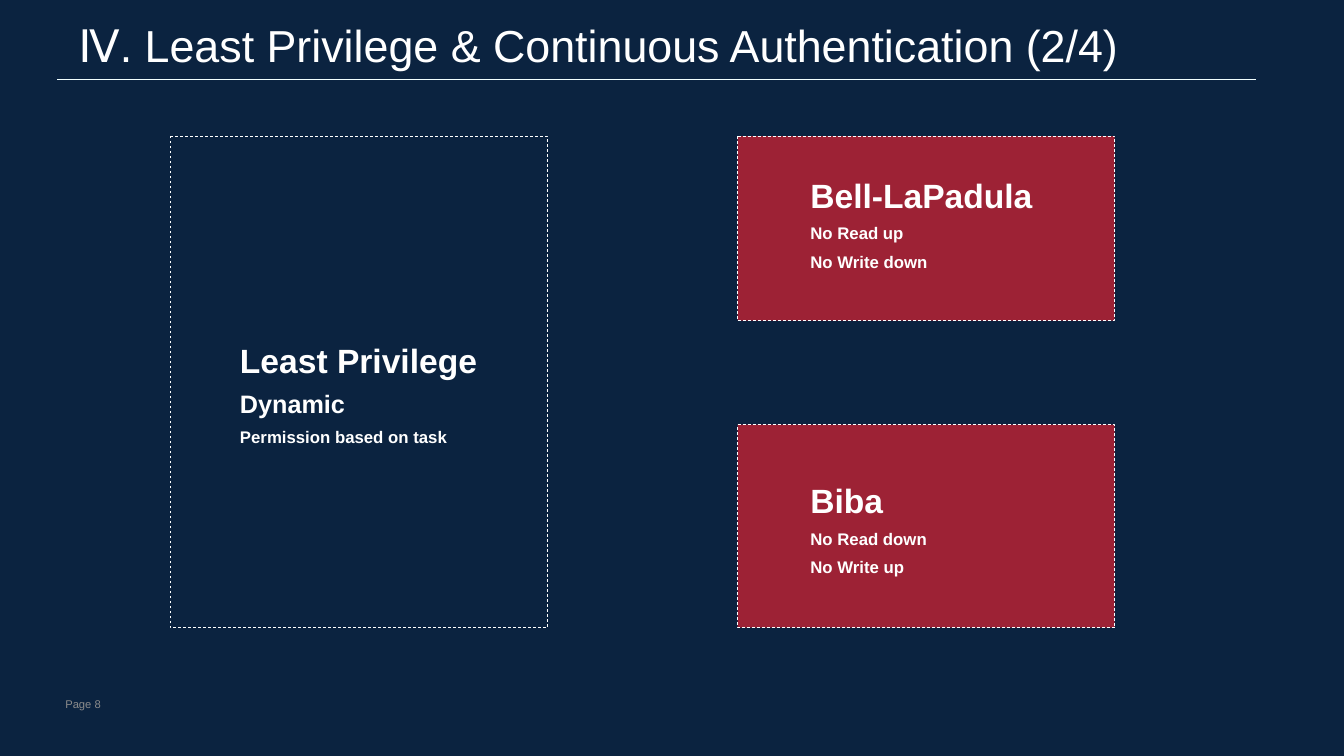
from dataclasses import dataclass

from lxml.etree import SubElement
from pptx import Presentation
from pptx.dml.color import RGBColor
from pptx.enum.dml import MSO_LINE
from pptx.enum.shapes import MSO_CONNECTOR, MSO_SHAPE
from pptx.enum.text import MSO_ANCHOR, PP_ALIGN
from pptx.oxml.ns import qn
from pptx.util import Pt


@dataclass(frozen=True)
class Theme:
    font: str = "Arial"
    background: RGBColor = RGBColor(0x0B, 0x23, 0x40)
    rule: RGBColor = RGBColor(0xF2, 0xFF, 0xFF)
    text: RGBColor = RGBColor(0xFF, 0xFF, 0xFF)
    muted: RGBColor = RGBColor(0x8C, 0x8C, 0x8C)
    accent: RGBColor = RGBColor(0x9D, 0x22, 0x35)
    title: int = 32
    heading: int = 24
    subheading: int = 18
    body: int = 12
    footer: int = 8


@dataclass(frozen=True)
class Box:
    """A rectangle in points."""
    left: float
    top: float
    width: float
    height: float

    def lengths(self):
        return [Pt(v) for v in (self.left, self.top, self.width, self.height)]


THEME = Theme()
CARD_WIDTH = 269.3
CARDS_TOP = 97.2
LEFT_COLUMN, RIGHT_COLUMN = 121.7, 527
TEXT_WIDTH, TEXT_HEIGHT = 176.4, 82.8


def apply_format(target, values):
    for attribute, value in values.items():
        setattr(target, attribute, value)


def add_text(slide, box, lines, color, frame_format, paragraph_format, bold=False):
    """Write (text, size) lines, one paragraph each, in the box."""
    frame = slide.shapes.add_textbox(*box.lengths()).text_frame
    apply_format(frame, {"word_wrap": True, **frame_format})
    for index, (text, size) in enumerate(lines):
        paragraph = frame.add_paragraph() if index else frame.paragraphs[0]
        apply_format(paragraph, paragraph_format)
        run = paragraph.add_run()
        run.text = text
        apply_format(run.font, {"name": THEME.font, "size": Pt(size), "bold": bold})
        run.font.color.rgb = color


def add_header(slide, box, title):
    """Place the title in the box, with a rule along the box's bottom edge."""
    bottom = Pt(box.top + box.height)
    rule = slide.shapes.add_connector(
        MSO_CONNECTOR.STRAIGHT, Pt(box.left), bottom, Pt(box.left + box.width), bottom)
    rule.line.color.rgb = THEME.rule
    rule.line.width = Pt(1)
    SubElement(rule._element.spPr, qn("a:effectLst"))
    title_box = Box(box.left + 8, box.top, 774.7, 36.7)
    add_text(slide, title_box, [(title, THEME.title)], THEME.text,
             {"vertical_anchor": MSO_ANCHOR.MIDDLE}, {})


def add_footer(slide, box, label):
    add_text(slide, box, [(label, THEME.footer)], THEME.muted,
             {"vertical_anchor": MSO_ANCHOR.MIDDLE}, {"alignment": PP_ALIGN.RIGHT})


def add_card(slide, box, lines, text_left, text_top, fill=None):
    """Draw a dashed card whose text starts at an offset from its corner."""
    card = slide.shapes.add_shape(MSO_SHAPE.ROUNDED_RECTANGLE, *box.lengths())
    card.adjustments[0] = 0
    card.shadow.inherit = False
    if fill is None:
        card.fill.background()
    else:
        card.fill.solid()
        card.fill.fore_color.rgb = fill
    card.line.color.rgb = THEME.text
    apply_format(card.line, {"width": Pt(0.5), "dash_style": MSO_LINE.DASH})
    text_box = Box(box.left + text_left, box.top + text_top, TEXT_WIDTH, TEXT_HEIGHT)
    no_margins = {f"margin_{side}": 0 for side in ("left", "top", "right", "bottom")}
    add_text(slide, text_box, lines, THEME.text, no_margins,
             {"space_after": Pt(6)}, bold=True)


def add_models(slide):
    """Place the principle on the left and the two access models on the right."""
    add_card(slide, Box(LEFT_COLUMN, CARDS_TOP, CARD_WIDTH, 351.2),
             [("Least Privilege", THEME.heading),
              ("Dynamic", THEME.subheading),
              ("Permission based on task", THEME.body)], 49.7, 145.4)
    models = [
        (CARDS_TOP, 131.8, 27.4, "Bell-LaPadula", ("No Read up", "No Write down")),
        (303.4, 145, 39.3, "Biba", ("No Read down", "No Write up")),
    ]
    for top, height, text_top, name, rules in models:
        lines = [(name, THEME.heading), *((rule, THEME.body) for rule in rules)]
        add_card(slide, Box(RIGHT_COLUMN, top, CARD_WIDTH, height),
                 lines, 51.8, text_top, THEME.accent)


def main():
    presentation = Presentation()
    apply_format(presentation, {"slide_width": Pt(960), "slide_height": Pt(540)})
    slide = presentation.slides.add_slide(presentation.slide_layouts[6])
    slide.background.fill.solid()
    slide.background.fill.fore_color.rgb = THEME.background
    add_header(slide, Box(41, 13.7, 856, 43.2),
               "Ⅳ. Least Privilege & Continuous Authentication (2/4)")
    add_models(slide)
    add_footer(slide, Box(33.8, 488.2, 45.4, 28.8), "Page 8")
    presentation.save("out.pptx")


if __name__ == "__main__":
    main()
